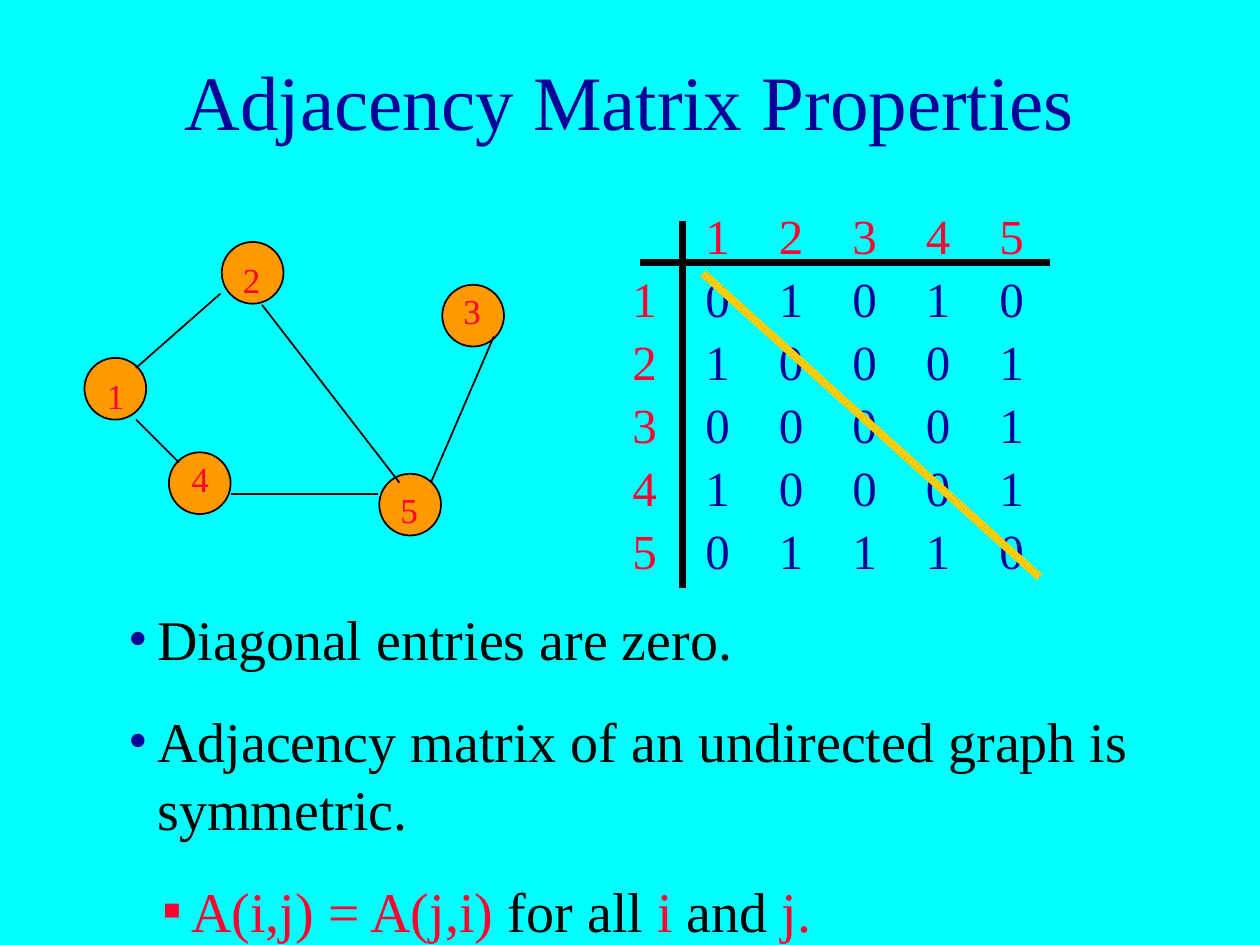
from lxml import etree
from pptx import Presentation
from pptx.dml.color import RGBColor
from pptx.enum import shapes, text
from pptx.oxml.ns import qn
from pptx.util import Inches, Pt

FONT = "Times New Roman"
COLORS = {
    "background": "00FFFF",
    "navy": "000099",
    "red": "FF0033",
    "black": "000000",
    "node": "FF9900",
    "diagonal": "FFCC00",
}

# Graph: vertex -> (left, top) of its circle and of its label
NODE_SIZE = 0.49
NODES = {
    "1": ((0.67, 2.84), (0.75, 2.92)),
    "2": ((1.76, 1.92), (1.83, 2.0)),
    "3": ((3.51, 2.26), (3.58, 2.25)),
    "4": ((1.34, 3.59), (1.42, 3.58)),
    "5": ((3.01, 3.76), (3.08, 3.83)),
}
EDGES = [
    ((1.75, 2.33), (1.08, 2.92)),  # 2-1
    ((2.08, 2.42), (3.17, 3.83)),  # 2-5
    ((1.08, 3.33), (1.42, 3.67)),  # 1-4
    ((3.92, 2.67), (3.42, 3.83)),  # 3-5
    ((1.83, 3.92), (3.0, 3.92)),   # 4-5
]

# Adjacency matrix and its grid
MATRIX = ["01010", "10001", "00001", "10001", "01110"]
MATRIX_LEFT, MATRIX_TOP = 5.5, 2.08
COLUMN_PITCH, ROW_PITCH = 7 / 12, 0.5
HEADER_TOP, ROW_LABEL_LEFT = 1.58, 4.92

# Bullets: (left margin, bullet, bullet colour, runs)
HANGING = 0.23
BULLETS = [
    (HANGING, "•", "navy", [("Diagonal entries are zero.", "black")]),
    (HANGING, "•", "navy",
     [("Adjacency matrix of an undirected graph is symmetric.", "black")]),
    (0.5, "▪", "red",
     [("A(i,j) = A(j,i) ", "red"), ("for all", "black"), (" i ", "red"),
      ("and ", "black"), ("j.", "red")]),
]


def rgb(name):
    return RGBColor.from_string(COLORS[name])


def set_font(font, size, color):
    font.name = FONT
    font.size = Pt(size)
    font.color.rgb = rgb(color)


def add_title(slide, wording):
    title = slide.shapes.title
    title.left, title.top = Inches(0.75), Inches(0.17)
    title.width, title.height = Inches(8.5), Inches(1.25)
    title.text_frame.text = wording
    title.text_frame.vertical_anchor = text.MSO_ANCHOR.MIDDLE
    heading = title.text_frame.paragraphs[0]
    heading.alignment = text.PP_ALIGN.CENTER
    set_font(heading.font, 44, "navy")


def add_text_frame(slide, left, top, width, height):
    box = slide.shapes.add_textbox(
        Inches(left), Inches(top), Inches(width), Inches(height))
    frame = box.text_frame
    frame.word_wrap = True
    frame.auto_size = text.MSO_AUTO_SIZE.SHAPE_TO_FIT_TEXT
    return frame


def add_digit(slide, digit, left, top, width, height, size, color):
    frame = add_text_frame(slide, left, top, width, height)
    frame.text = digit
    set_font(frame.paragraphs[0].font, size, color)


def add_line(slide, start, end, color="black", weight=1):
    line = slide.shapes.add_connector(
        shapes.MSO_CONNECTOR.STRAIGHT, *map(Inches, start + end))
    line.line.color.rgb = rgb(color)
    line.line.width = Pt(weight)
    etree.SubElement(line._element.spPr, qn("a:effectLst"))


def add_node(slide, left, top):
    node = slide.shapes.add_shape(
        shapes.MSO_SHAPE.OVAL, Inches(left), Inches(top),
        Inches(NODE_SIZE), Inches(NODE_SIZE))
    node.shadow.inherit = False
    node.fill.solid()
    node.fill.fore_color.rgb = rgb("node")
    node.line.color.rgb = rgb("black")
    node.line.width = Pt(1)


def add_graph(slide):
    for circle, _ in NODES.values():
        add_node(slide, *circle)
    for start, end in EDGES:
        add_line(slide, start, end)
    for vertex, (_, label) in NODES.items():
        add_digit(slide, vertex, *label, 0.25, 0.43, 20, "red")


def add_matrix(slide):
    # Column and row headings
    for index in range(len(MATRIX)):
        column_left = MATRIX_LEFT + index * COLUMN_PITCH
        row_top = MATRIX_TOP + index * ROW_PITCH
        for left, top in ((column_left, HEADER_TOP), (ROW_LABEL_LEFT, row_top)):
            add_digit(slide, str(index + 1), left, top, 0.5, 0.57, 28, "red")

    # Rules below and beside the headings
    add_line(slide, (5.08, 2.08), (8.33, 2.08), weight=4)
    add_line(slide, (5.42, 1.75), (5.42, 4.67), weight=4)

    # Entries
    for row, entries in enumerate(MATRIX):
        for column, entry in enumerate(entries):
            add_digit(slide, entry, MATRIX_LEFT + column * COLUMN_PITCH,
                      MATRIX_TOP + row * ROW_PITCH, 0.33, 0.57, 28, "navy")

    # Diagonal
    add_line(slide, (5.58, 2.17), (8.25, 4.58), "diagonal", 4.5)


def set_bullet(paragraph, margin, bullet, color):
    properties = paragraph._p.get_or_add_pPr()
    properties.set("marL", str(Inches(margin)))
    properties.set("indent", str(-Inches(HANGING)))
    bullet_color = etree.SubElement(properties, qn("a:buClr"))
    etree.SubElement(bullet_color, qn("a:srgbClr"), val=COLORS[color])
    etree.SubElement(properties, qn("a:buFont"), typeface=FONT)
    etree.SubElement(properties, qn("a:buChar"), char=bullet)


def add_bullets(slide):
    frame = add_text_frame(slide, 0.92, 4.75, 8.83, 2.79)
    for index, (margin, bullet, color, runs) in enumerate(BULLETS):
        paragraph = frame.add_paragraph() if index else frame.paragraphs[0]
        paragraph.level = int(margin > HANGING)
        paragraph.space_before = Pt(20)
        set_bullet(paragraph, margin, bullet, color)
        for wording, run_color in runs:
            run = paragraph.add_run()
            run.text = wording
            set_font(run.font, 32, run_color)


def main():
    prs = Presentation()
    prs.slide_width, prs.slide_height = Inches(10), Inches(7.5)
    slide = prs.slides.add_slide(prs.slide_layouts[5])
    slide.background.fill.solid()
    slide.background.fill.fore_color.rgb = rgb("background")

    add_title(slide, "Adjacency Matrix Properties")
    add_graph(slide)
    add_matrix(slide)
    add_bullets(slide)
    prs.save("out.pptx")


if __name__ == "__main__":
    main()
